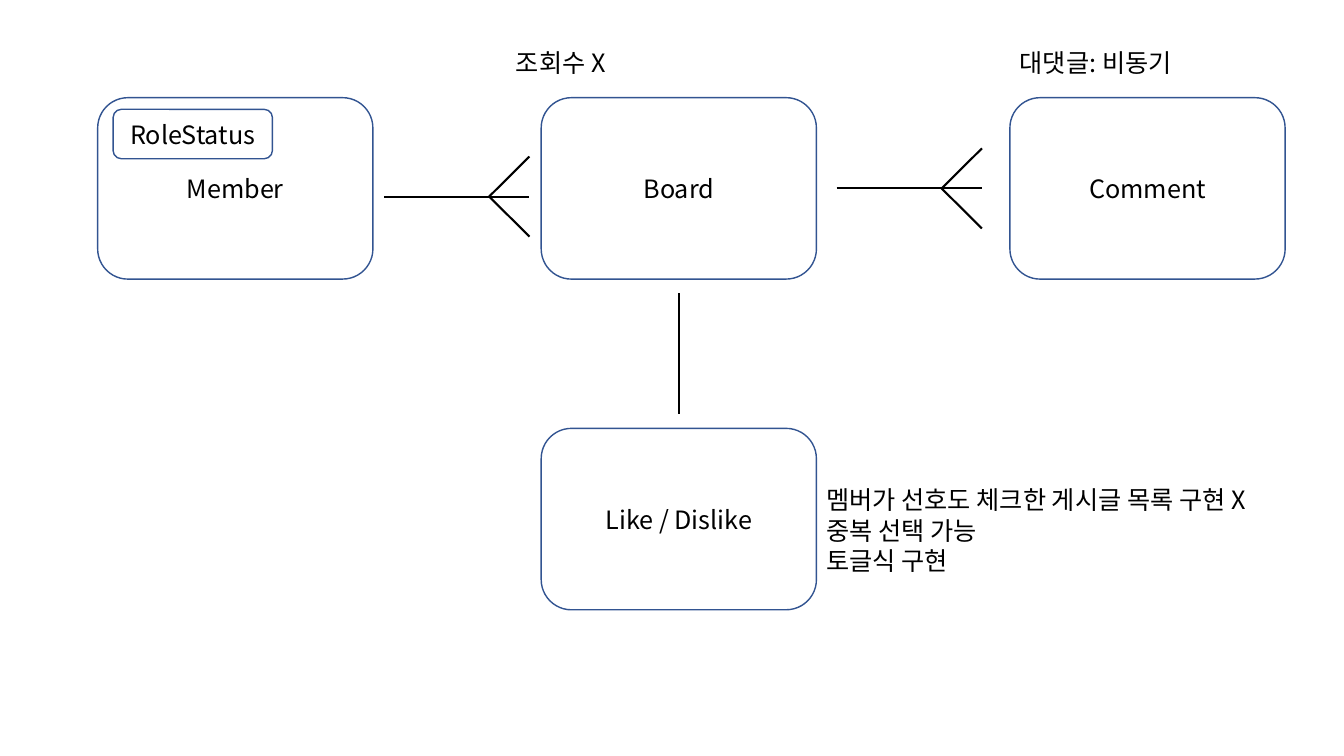
from dataclasses import dataclass

from lxml.etree import SubElement
from pptx import Presentation
from pptx.dml.color import RGBColor
from pptx.enum.shapes import MSO_CONNECTOR, MSO_SHAPE
from pptx.enum.text import MSO_ANCHOR, PP_ALIGN
from pptx.oxml.ns import qn
from pptx.slide import Slide
from pptx.text.text import TextFrame
from pptx.util import Pt

FONT = "Noto Sans CJK KR"
BLACK = RGBColor(0x00, 0x00, 0x00)
WHITE = RGBColor(0xFF, 0xFF, 0xFF)
BLUE = RGBColor(0x32, 0x54, 0x91)
WIDE, HIGH = 196.6, 129.6
TOP, LOW = 69.8, 306
BOARD = 386.6
PRONG = 28.6


@dataclass
class Box:
    """A rounded entity box."""
    text: str
    left: float
    top: float
    width: float = WIDE
    height: float = HIGH


@dataclass
class Note:
    """A plain text remark beside a box."""
    text: str
    left: float
    top: float
    width: float
    height: float


@dataclass
class Fork:
    """A one-to-many link, from its start point."""
    left: float
    mid: float
    stem: float = 75
    reach: float = 103.8


BOXES = [
    Box("Member", 69.8, TOP),
    Box("Comment", 721.4, TOP),
    Box("Board", BOARD, TOP),
    Box("Like / Dislike", BOARD, LOW),
    Box("RoleStatus", 80.8, 78.1, 113.8, 35.3),
]
NOTES = [
    Note("멤버가 선호도 체크한 게시글 목록 구현 X\n중복 선택 가능\n토글식 구현",
         583.2, 342.7, 360, 72.7),
    Note("조회수 X", 361.4, 30.2, 360, 29),
    Note("대댓글: 비동기", 721.4, 30.2, 230, 29),
]
FORKS = [Fork(274.4, 140.4), Fork(597.6, 134.6)]


def write(frame: TextFrame, text: str, align: PP_ALIGN) -> None:
    """Fill a frame with evenly styled text."""
    frame.text = text
    frame.word_wrap = True
    for para in frame.paragraphs:
        para.alignment = align
        for run in para.runs:
            run.font.size = Pt(18)
            run.font.color.rgb = BLACK
            run.font.name = FONT
            SubElement(run.font._element, qn("a:ea"), typeface=FONT)


def draw_box(slide: Slide, box: Box) -> None:
    """Draw a rounded box with centred text."""
    shape = slide.shapes.add_shape(
        MSO_SHAPE.ROUNDED_RECTANGLE,
        Pt(box.left), Pt(box.top), Pt(box.width), Pt(box.height))
    shape.shadow.inherit = False
    shape.fill.solid()
    shape.fill.fore_color.rgb = WHITE
    shape.line.color.rgb = BLUE
    shape.line.width = Pt(1)
    shape.text_frame.vertical_anchor = MSO_ANCHOR.MIDDLE
    write(shape.text_frame, box.text, PP_ALIGN.CENTER)


def draw_note(slide: Slide, note: Note) -> None:
    """Draw a left-aligned remark."""
    shape = slide.shapes.add_textbox(
        Pt(note.left), Pt(note.top), Pt(note.width), Pt(note.height))
    write(shape.text_frame, note.text, PP_ALIGN.LEFT)


def draw_line(slide: Slide, x1: float, y1: float, x2: float, y2: float) -> None:
    """Draw a straight black line."""
    line = slide.shapes.add_connector(
        MSO_CONNECTOR.STRAIGHT, Pt(x1), Pt(y1), Pt(x2), Pt(y2))
    line.line.color.rgb = BLACK
    line.line.width = Pt(1.5)
    SubElement(line._element.spPr, qn("a:effectLst"))


def draw_fork(slide: Slide, fork: Fork) -> None:
    """Draw a stem that splits into three prongs."""
    tip = fork.left + fork.reach
    draw_line(slide, fork.left, fork.mid, tip, fork.mid)
    for rise in (-PRONG, PRONG):
        draw_line(slide, fork.left + fork.stem, fork.mid, tip, fork.mid + rise)


def main() -> None:
    """Build and save the entity diagram."""
    deck = Presentation()
    deck.slide_width, deck.slide_height = Pt(960), Pt(540)
    slide = deck.slides.add_slide(deck.slide_layouts[6])
    for box in BOXES:
        draw_box(slide, box)
    for fork in FORKS:
        draw_fork(slide, fork)
    axis = BOARD + WIDE / 2
    draw_line(slide, axis, 209.5, axis, 295.9)
    for note in NOTES:
        draw_note(slide, note)
    deck.save("out.pptx")


if __name__ == "__main__":
    main()
